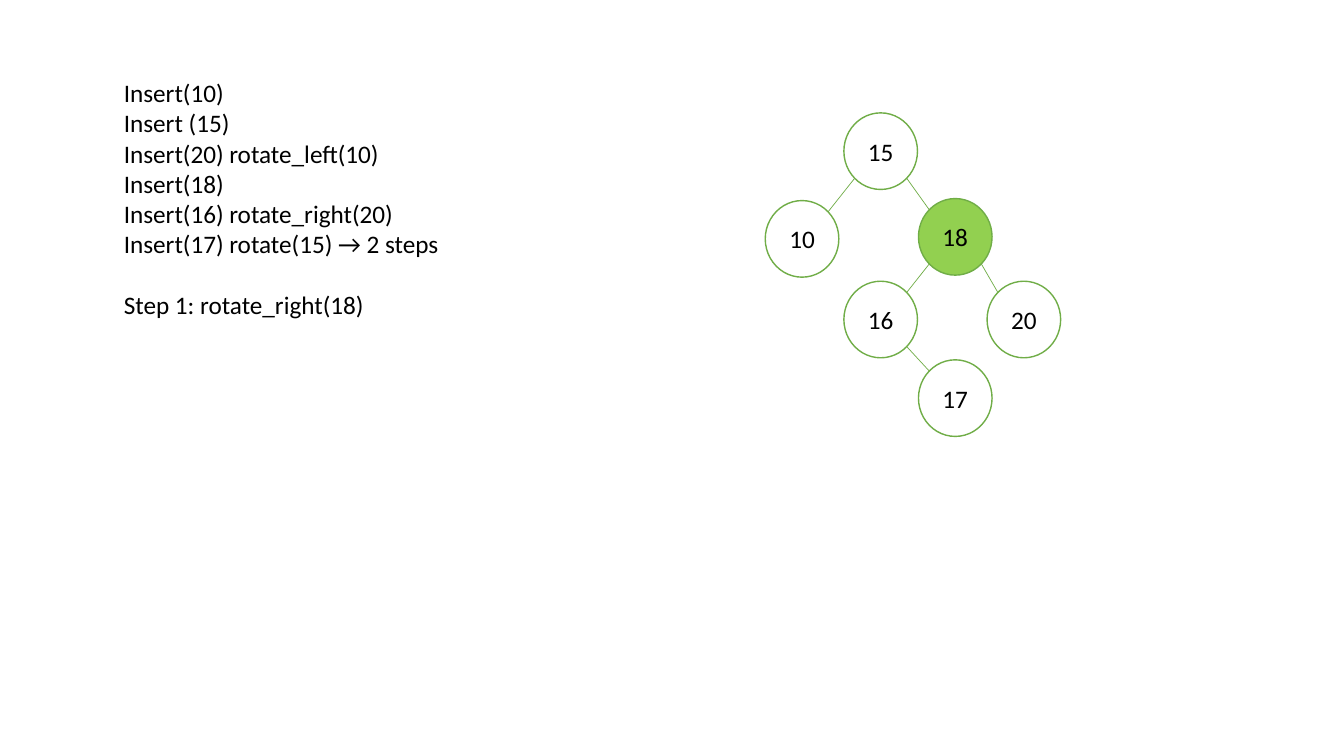
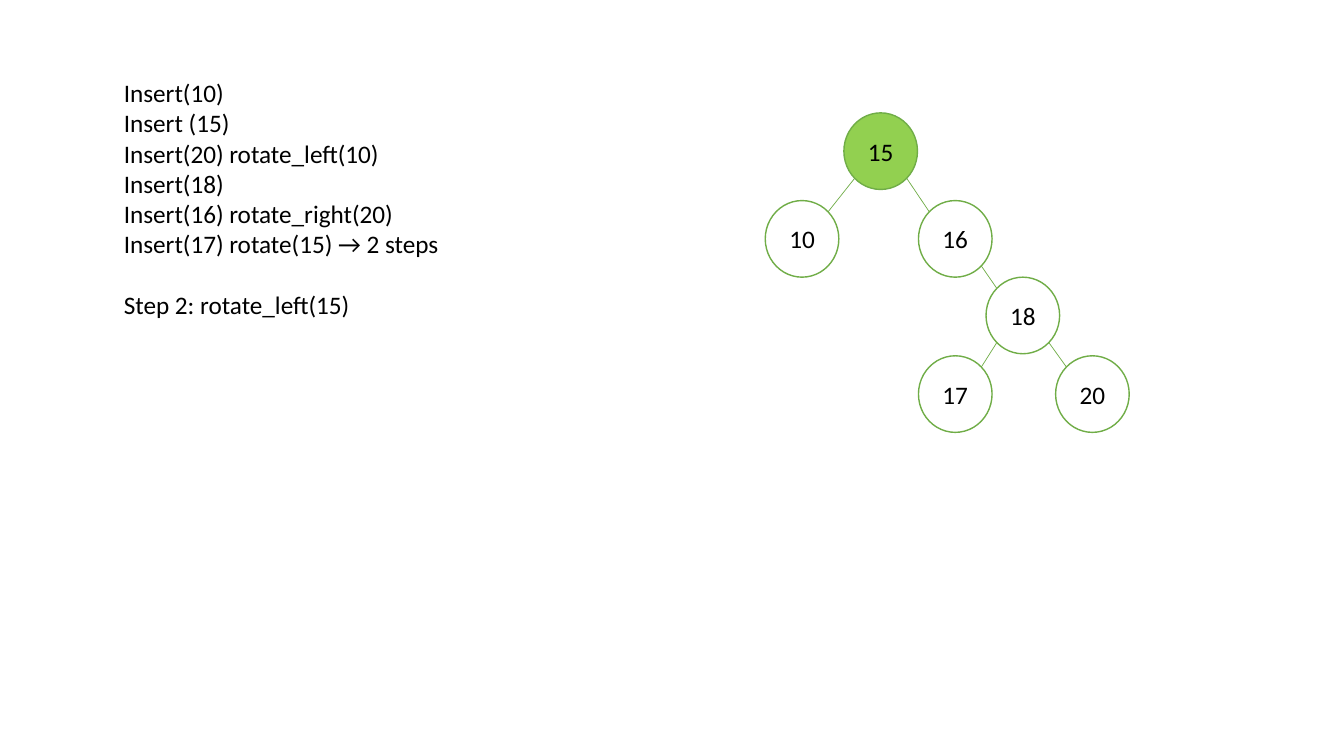
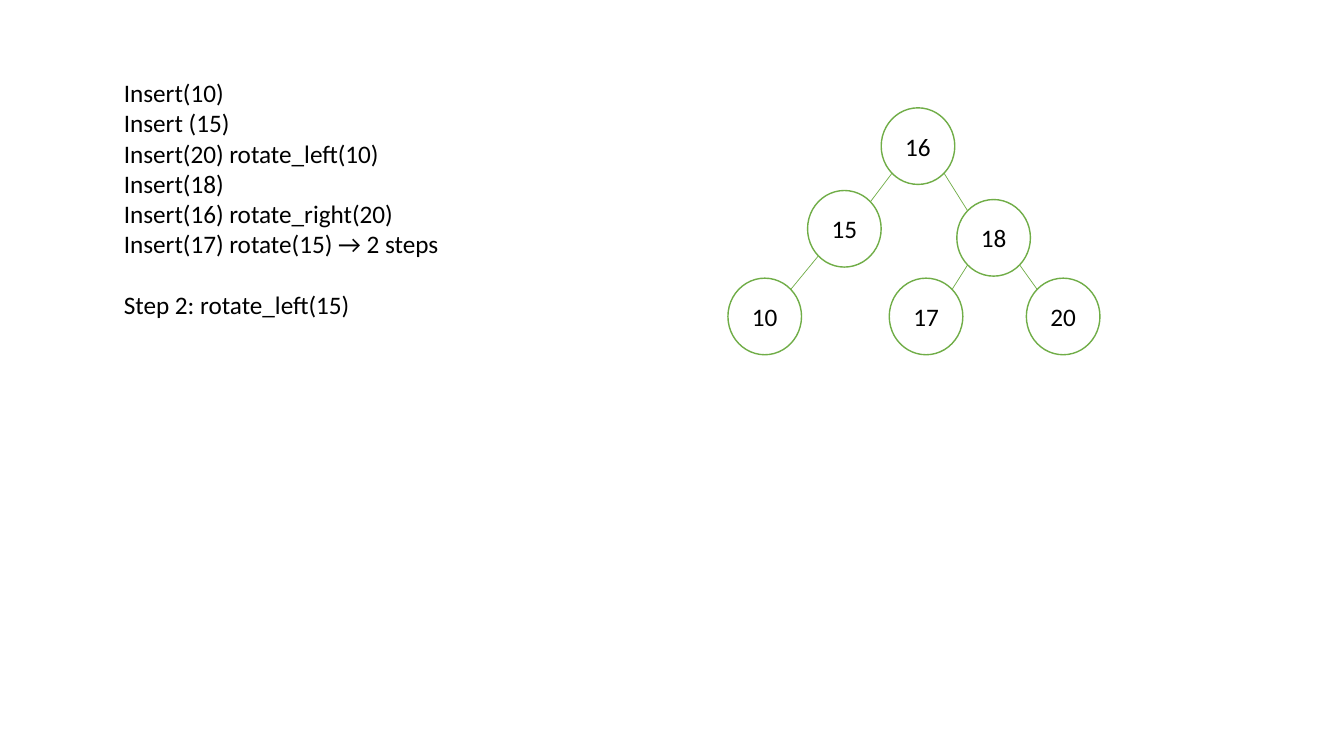
from math import sqrt

from lxml.etree import SubElement
from pptx import Presentation
from pptx.dml.color import RGBColor
from pptx.enum.shapes import MSO_CONNECTOR, MSO_SHAPE
from pptx.enum.text import MSO_ANCHOR, MSO_AUTO_SIZE, PP_ALIGN
from pptx.oxml.ns import qn
from pptx.util import Inches, Pt

BLACK = RGBColor(0x00, 0x00, 0x00)
WHITE = RGBColor(0xFF, 0xFF, 0xFF)
GREEN = RGBColor(0x70, 0xAD, 0x47)
PIVOT_GREEN = RGBColor(0x92, 0xD0, 0x50)

FONT = {"name": "Calibri", "size": Pt(18)}
NODE_WIDTH, NODE_HEIGHT = 0.73, 0.76
# Edges meet a node on its diagonals: share of its size before and after.
NEAR = (1 - 1 / sqrt(2)) / 2
FAR = 1 - NEAR

INSERTIONS = [
    "Insert(10)",
    "Insert (15)",
    "Insert(20) rotate_left(10)",
    "Insert(18)",
    "Insert(16) rotate_right(20)",
    "Insert(17) rotate(15) → 2 steps",
]

# Each tree: step text, node places (left, top), node fills, (parent, child) edges.
TREES = [
    (
        "Step 1: rotate_right(18)",
        {10: (7.59, 1.99), 15: (8.37, 1.12), 20: (9.79, 2.79),
         18: (9.11, 1.97), 16: (8.37, 2.79), 17: (9.11, 3.57)},
        {15: WHITE, 18: PIVOT_GREEN},
        [(15, 10), (15, 18), (18, 20), (18, 16), (16, 17)],
    ),
    (
        "Step 2: rotate_left(15)",
        {10: (7.59, 1.99), 15: (8.37, 1.12), 20: (10.47, 3.53),
         18: (9.78, 2.75), 16: (9.11, 1.99), 17: (9.11, 3.53)},
        {15: PIVOT_GREEN},
        [(15, 10), (15, 16), (18, 20), (16, 18), (18, 17)],
    ),
    (
        "Step 2: rotate_left(15)",
        {10: (7.22, 2.76), 15: (8.01, 1.89), 20: (10.18, 2.76),
         18: (9.49, 1.98), 16: (8.74, 1.07), 17: (8.82, 2.76)},
        {},
        [(15, 10), (16, 15), (18, 20), (16, 18), (18, 17)],
    ),
]


def write(paragraph, text):
    """Put text into a paragraph in the shared font."""
    run = paragraph.add_run()
    run.text = text
    for attribute, value in FONT.items():
        setattr(run.font, attribute, value)
    run.font.color.rgb = BLACK


def diagonal_point(place, across, down):
    """Return the point at the given shares of a node's width and height."""
    left, top = place
    return Inches(left + across * NODE_WIDTH), Inches(top + down * NODE_HEIGHT)


prs = Presentation()
prs.slide_width, prs.slide_height = Inches(13.33), Inches(7.5)

for step, places, fills, edges in TREES:
    slide = prs.slides.add_slide(prs.slide_layouts[6])

    operations = slide.shapes.add_textbox(
        Inches(1.13), Inches(0.72), Inches(5.07), Inches(2.52)).text_frame
    operations.word_wrap = True
    operations.auto_size = MSO_AUTO_SIZE.SHAPE_TO_FIT_TEXT
    for index, operation in enumerate(INSERTIONS + [step]):
        line = operations.add_paragraph() if index else operations.paragraphs[0]
        write(line, operation)
    line.space_before = Pt(21.5)

    for key, (left, top) in places.items():
        node = slide.shapes.add_shape(
            MSO_SHAPE.OVAL, Inches(left), Inches(top),
            Inches(NODE_WIDTH), Inches(NODE_HEIGHT))
        node.shadow.inherit = False
        if key in fills:
            node.fill.solid()
            node.fill.fore_color.rgb = fills[key]
        else:
            node.fill.background()
        node.line.color.rgb = GREEN
        node.line.width = Pt(1)
        node.text_frame.vertical_anchor = MSO_ANCHOR.MIDDLE
        label = node.text_frame.paragraphs[0]
        label.alignment = PP_ALIGN.CENTER
        write(label, str(key))

    for parent, child in edges:
        goes_left = places[child][0] < places[parent][0]
        parent_side, child_side = (NEAR, FAR) if goes_left else (FAR, NEAR)
        edge = slide.shapes.add_connector(
            MSO_CONNECTOR.STRAIGHT,
            *diagonal_point(places[parent], parent_side, FAR),
            *diagonal_point(places[child], child_side, NEAR))
        edge.line.color.rgb = GREEN
        edge.line.width = Pt(0.5)
        SubElement(edge._element.spPr, qn("a:effectLst"))

prs.save("out.pptx")
